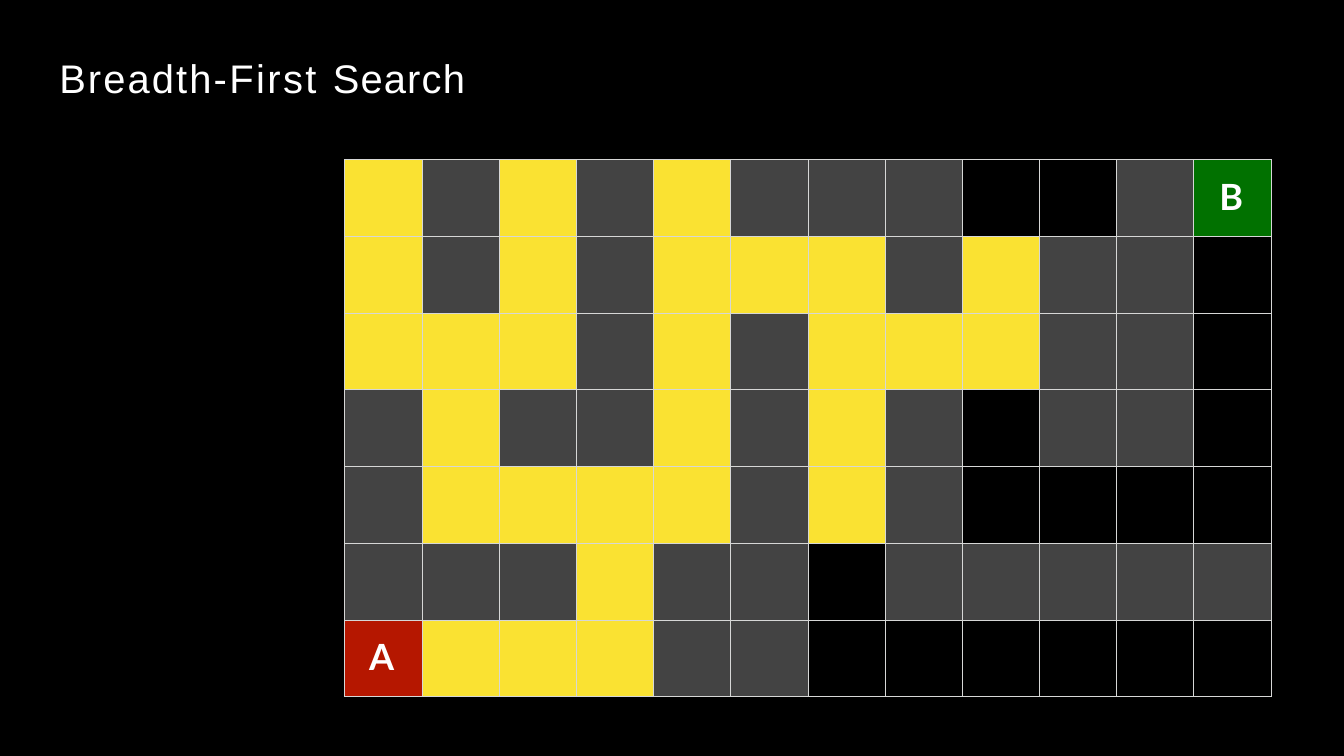
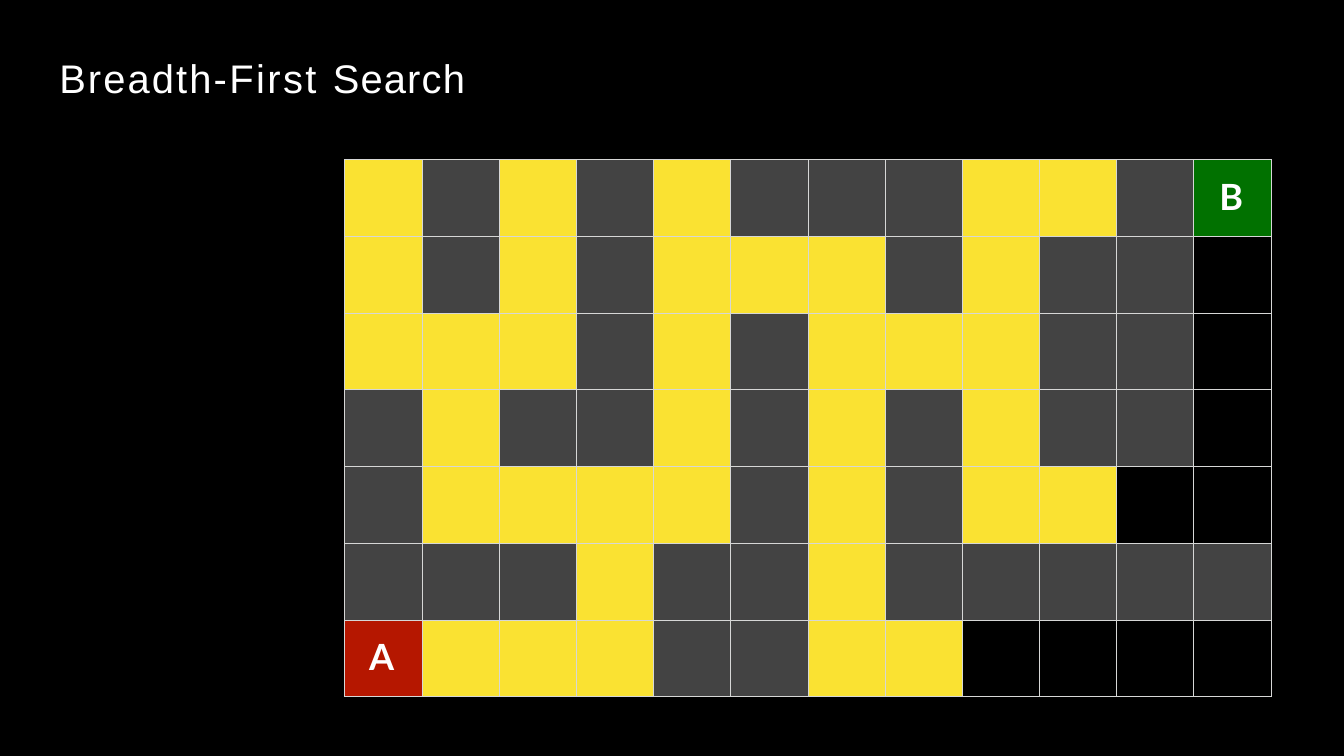
from lxml.etree import SubElement
from pptx import Presentation
from pptx.dml.color import RGBColor
from pptx.oxml.ns import qn
from pptx.util import Inches, Pt

# Content: "#" wall, "." unexplored, a digit is the step that explores the cell
MAZE = [
    "1#1#1###22#B",
    "1#1#111#1##.",
    "111#1#111##.",
    "#1##1#1#2##.",
    "#1111#1#22..",
    "###1##2#####",
    "A111##22....",
]
STEPS = [1, 2]
TITLE = [("Breadth-", 2.5), ("First ", 2.9), ("Search", 1.4)]  # text, letter spacing
# Label: letter spacing, left margin, top margin
LABELS = {"A": (4.2, 0.4, 0.25), "B": (1.2, 0.42, 0.26)}

COLORS = {
    "background": "000000", "text": "FFFFFF", "border": "D6D7D6",
    "explored": "FAE232", "#": "434343", "A": "B51700", "B": "017100",
}
TITLE_FONT = {"name": "Arial", "size": Pt(47), "bold": False}
LABEL_FONT = {"name": "Lato", "size": Pt(42.5), "bold": True}


def color(key):
    return RGBColor.from_string(COLORS[key])


def add_run(p, text, spacing, font):
    r = p.add_run()
    r.text = text
    for name, value in font.items():
        setattr(r.font, name, value)
    r.font.color.rgb = color("text")
    r.font._element.set("spc", str(round(spacing * 100)))


def set_margins(target, left=0, top=0):
    target.margin_left, target.margin_top = Inches(left), Inches(top)
    target.margin_right = target.margin_bottom = 0


def add_title(s):
    tf = s.shapes.add_textbox(Inches(0.68), Inches(0.43), Inches(12.93), Inches(1.78)).text_frame
    tf.word_wrap = True
    set_margins(tf, 0.29, 0.44)
    for text, spacing in TITLE:
        add_run(tf.paragraphs[0], text, spacing, TITLE_FONT)


def add_borders(cell):
    tc_pr = cell._tc.get_or_add_tcPr()
    for side in ("lnL", "lnR", "lnT", "lnB"):
        ln = SubElement(tc_pr, qn(f"a:{side}"), w=str(Pt(1)))
        fill = SubElement(ln, qn("a:solidFill"))
        SubElement(fill, qn("a:srgbClr"), val=COLORS["border"])


def cell_fill(mark, step):
    if mark.isdigit():
        return "explored" if int(mark) <= step else None
    return None if mark == "." else mark


def add_maze(s, step):
    rows, cols = len(MAZE), len(MAZE[0])
    width, height = Inches(15.16), Inches(8.79)
    table = s.shapes.add_table(rows, cols, Inches(5.64), Inches(2.61), width, height).table
    table.first_row = table.horz_banding = False
    for i, line in enumerate(MAZE):
        for j, mark in enumerate(line):
            cell = table.cell(i, j)
            add_borders(cell)
            key = cell_fill(mark, step)
            if key:
                cell.fill.solid()
                cell.fill.fore_color.rgb = color(key)
            else:
                cell.fill.background()
            if mark in LABELS:
                spacing, left, top = LABELS[mark]
                set_margins(cell, left, top)
                add_run(cell.text_frame.paragraphs[0], mark, spacing, LABEL_FONT)


def main():
    prs = Presentation()
    prs.slide_width, prs.slide_height = Inches(21.99), Inches(12.37)
    # Shared background
    background = prs.slide_master.background.fill
    background.solid()
    background.fore_color.rgb = color("background")
    # One slide per search step
    for step in STEPS:
        s = prs.slides.add_slide(prs.slide_layouts[6])
        add_maze(s, step)
        add_title(s)
    prs.save("out.pptx")


if __name__ == "__main__":
    main()
